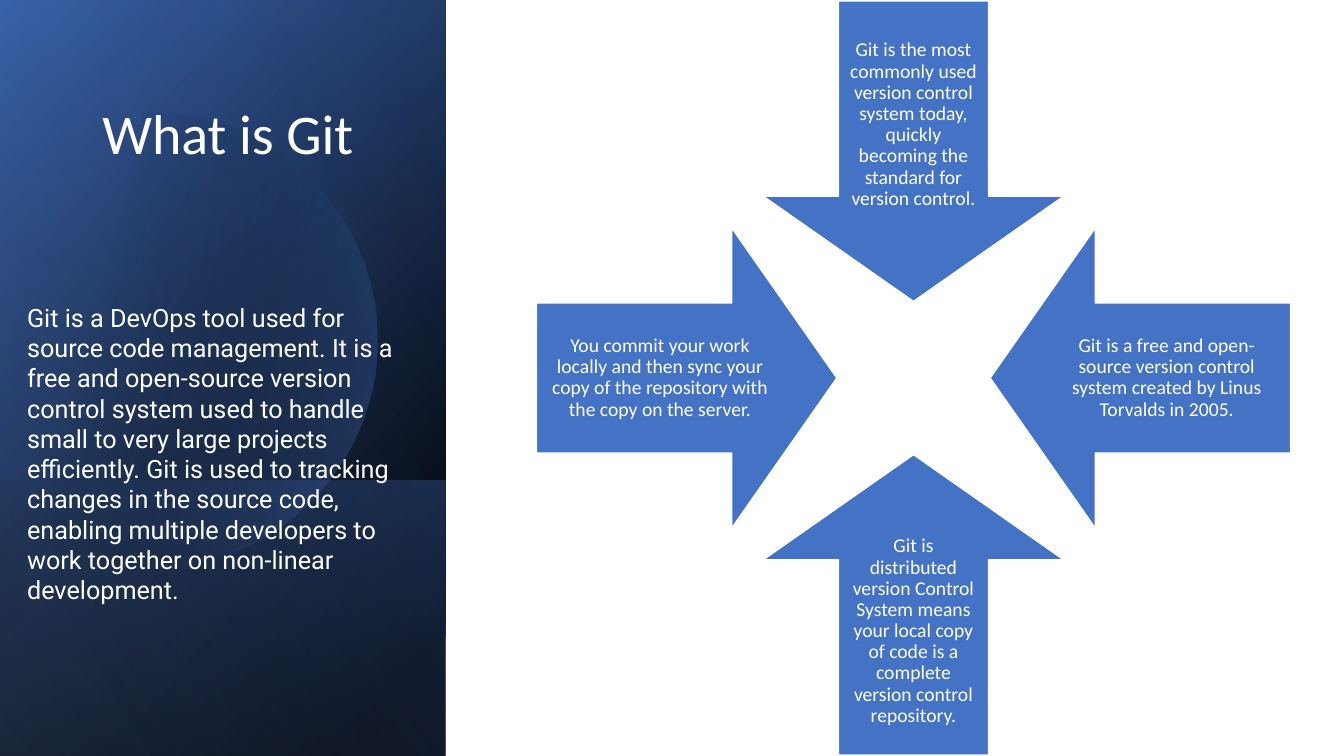
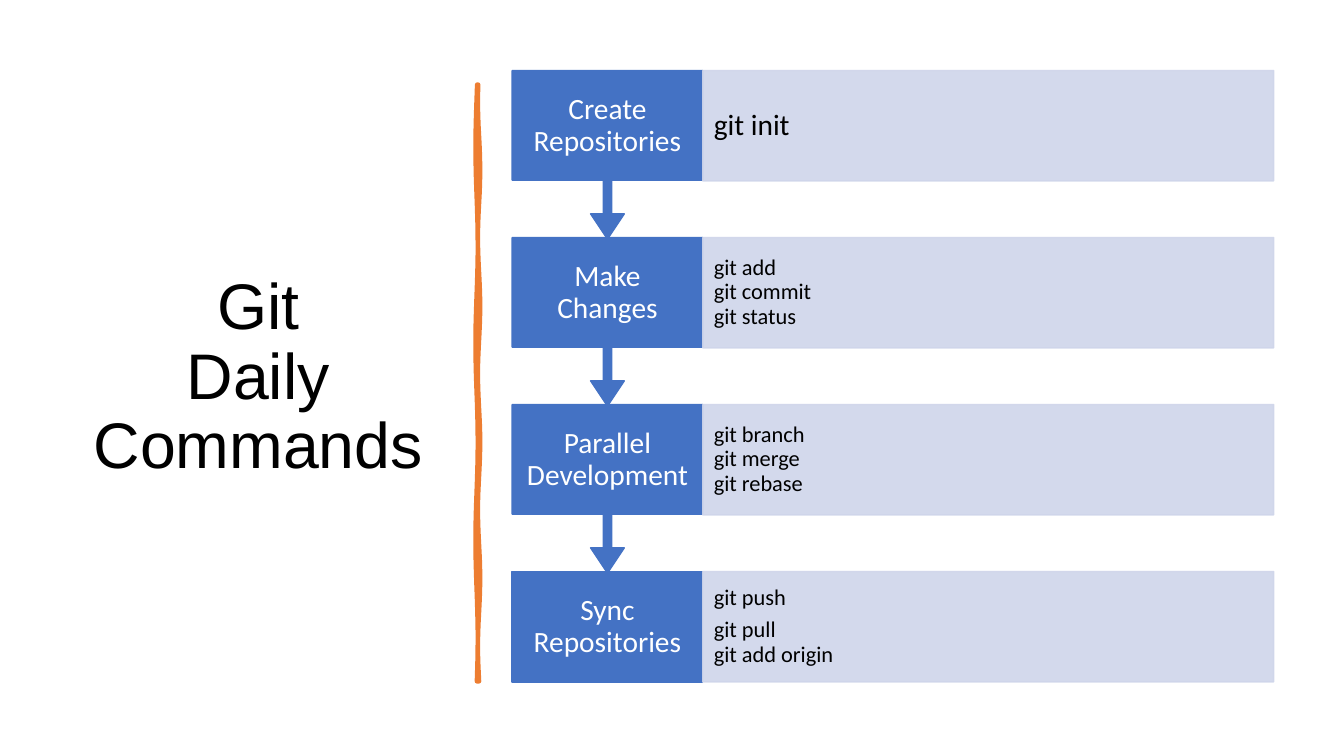
"""Build two slides on Git: what it is, and its daily commands."""
from copy import deepcopy
from math import acos, cos, pi, sin

from lxml.etree import SubElement
from pptx import Presentation
from pptx.dml.color import RGBColor
from pptx.enum.shapes import MSO_SHAPE
from pptx.enum.text import MSO_ANCHOR, MSO_AUTO_SIZE, PP_ALIGN
from pptx.oxml import parse_xml
from pptx.oxml.ns import nsdecls, qn
from pptx.util import Inches, Pt

CELL = Inches(7.5) / 100
HUES = {"blue": "4472C4", "navy": "2F5597", "sky": "8FAADC", "black": "000000",
        "white": "FFFFFF", "pale": "CFD5EA", "orange": "ED7D31"}
MID, LEFT = PP_ALIGN.CENTER, PP_ALIGN.LEFT
LOOKS = {
    "cover": ("white", {"name": "Calibri", "size": Pt(40)}, {"alignment": MID, "line_spacing": 0.9}),
    "head": ("black", {"name": "Arial", "size": Pt(46)}, {"alignment": MID, "line_spacing": 0.9}),
    "prose": ("white", {"name": "Roboto", "size": Pt(18)}, {"alignment": LEFT}),
    "arrow": ("white", {"name": "Calibri", "size": Pt(14)}, {"alignment": MID, "line_spacing": 0.9}),
    "step": ("white", {"name": "Calibri", "size": Pt(21)}, {"alignment": MID, "line_spacing": 0.9}),
    "first": ("black", {"name": "Calibri", "size": Pt(21)}, {"alignment": LEFT, "line_spacing": 0.9}),
    "code": ("black", {"name": "Calibri", "size": Pt(16)}, {"alignment": LEFT, "line_spacing": 0.9}),
}
PANEL = 58.93
PROSE = ("Git is a DevOps tool used for source code management. It is a free and open-source "
         "version control system used to handle small to very large projects efficiently. "
         "Git is used to tracking changes in the source code, enabling multiple developers "
         "to work together on non-linear development.")
FACTS = [
    (0, -1, "Git is the most commonly used version control system today, quickly becoming "
            "the standard for version control."),
    (1, 0, "Git is a free and open-source version control system created by Linus Torvalds in 2005."),
    (0, 1, "Git is distributed version Control System means your local copy of code is a "
           "complete version control repository."),
    (-1, 0, "You commit your work locally and then sync your copy of the repository with "
            "the copy on the server."),
]
STEPS = [
    ("Create Repositories", "first", ["git init"]),
    ("Make Changes", "code", ["git add\ngit commit\ngit status"]),
    ("Parallel Development", "code", ["git branch\ngit merge\ngit rebase"]),
    ("Sync Repositories", "code", ["git push", "git pull\ngit add origin"]),
]


def grid(*cells):
    """Turn grid cells into slide lengths."""
    return [round(cell * CELL) for cell in cells]


def apply(thing, values):
    """Set each named value on a thing."""
    for name, value in values.items():
        setattr(thing, name, value)


def hue(name):
    """Look up a colour."""
    return RGBColor.from_string(HUES[name])


def write(shape, texts, look, anchor=MSO_ANCHOR.MIDDLE, pad=(0.1, 0.05)):
    """Fill a shape with styled paragraphs."""
    color, font, para = LOOKS[look]
    side, edge = map(Inches, pad)
    frame = shape.text_frame
    apply(frame, {"word_wrap": True, "auto_size": MSO_AUTO_SIZE.NONE,
                  "vertical_anchor": anchor, "margin_left": side, "margin_right": side,
                  "margin_top": edge, "margin_bottom": edge})
    for i, text in enumerate(texts):
        line = frame.add_paragraph() if i else frame.paragraphs[0]
        line.text = text
        apply(line, para)
        line.space_before = Pt(5.6 if i else 0)
        for run in line.runs:
            apply(run.font, font)
            run.font.color.rgb = hue(color)
        for gap in line._p.findall(qn("a:br")):
            gap.append(deepcopy(line.runs[0]._r.rPr))


def label(slide, box, text, look, **frame):
    """Add a text box."""
    write(slide.shapes.add_textbox(*grid(*box)), [text], look, **frame)


def title(slide, box, text, look, anchor):
    """Place the title on top of what is drawn."""
    shape = slide.shapes.title
    apply(shape, dict(zip(("left", "top", "width", "height"), grid(*box))))
    write(shape, [text], look, anchor)
    shape.element.getparent().append(shape.element)


def paint(shape, fill, line, width=1):
    """Give a shape flat fill and line."""
    shape.shadow.inherit = False
    shape.fill.solid()
    shape.fill.fore_color.rgb = hue(fill)
    shape.line.color.rgb = hue(line)
    shape.line.width = Pt(width)


def block(slide, kind, box, fill="blue", line="blue", turn=0, tweaks=()):
    """Add a flat preset shape."""
    shape = slide.shapes.add_shape(kind, *grid(*box))
    paint(shape, fill, line)
    shape.rotation = turn
    for i, tweak in enumerate(tweaks):
        shape.adjustments[i] = tweak
    return shape


def fade(shape, stops, angle):
    """Give a shape a gradient of (place, colour, opacity) stops."""
    shape.shadow.inherit = False
    shape.line.fill.background()
    shape.fill.background()
    marks = "".join(
        f'<a:gs pos="{place * 1000}"><a:srgbClr val="{HUES[name]}">'
        f'<a:alpha val="{alpha * 1000}"/></a:srgbClr></a:gs>' for place, name, alpha in stops)
    blend = parse_xml(f'<a:gradFill {nsdecls("a")} rotWithShape="1"><a:gsLst>{marks}</a:gsLst>'
                      f'<a:lin ang="{angle * 60000}" scaled="0"/></a:gradFill>')
    props = shape.element.spPr
    props.replace(props.find(qn("a:noFill")), blend)


def thin(shape, share):
    """Make fill and line partly clear."""
    for color in list(shape.element.spPr.iter(qn("a:srgbClr"))):
        SubElement(color, qn("a:alpha"), val=str(share * 1000))


def outline(slide, points):
    """Add a closed shape through grid points."""
    first, *rest = [grid(*point) for point in points]
    pen = slide.shapes.build_freeform(*first, scale=1.0)
    pen.add_line_segments(rest, close=True)
    return pen.convert_to_shape()


def pane(slide, top, stops, angle):
    """Add a gradient layer from top down to the panel's foot."""
    shape = slide.shapes.add_shape(MSO_SHAPE.RECTANGLE, *grid(0, top, PANEL, 100 - top))
    fade(shape, stops, angle)


def disc(slide, x, y, size, count=90):
    """Add the soft disc cut off by the slide's left edge."""
    reach = acos(-x / size)
    turns = [reach * (2 * i / count - 1) for i in range(count + 1)]
    shape = outline(slide, [(x + size * cos(a), y + size * sin(a)) for a in turns])
    fade(shape, [(29, "black", 0), (100, "blue", 43)], 14)


def brush(slide, x, top, foot, count=60):
    """Add the wavy upright stroke."""
    rows = [top + (foot - top) * i / count for i in range(count + 1)]
    right = [(x + 0.15 + 0.15 * sin(row * pi / 9), row) for row in rows]
    left = [(x - 0.15 + 0.15 * sin(row * pi / 13), row) for row in reversed(rows)]
    paint(outline(slide, right + left), "orange", "orange", 3.25)


def arrow(slide, i, dx, dy, text):
    """Add an arrow that points at the centre from side dx, dy."""
    x, y, side, long, short = 120.8, 50, 39.73, 32.8, 19.87
    block(slide, MSO_SHAPE.DOWN_ARROW,
          (x + 30 * dx - side / 2, y + 30 * dy - side / 2, side, side),
          line="white", turn=90 * i, tweaks=(0.5, 0.35))
    wide, tall = (long, short) if dx else (short, long)
    label(slide, (x + 33.5 * dx - wide / 2, y + 33.5 * dy - tall / 2, wide, tall),
          text, "arrow", pad=(0.11, 0.11))


def step(slide, i, name, look, texts):
    """Add one step with its bar of commands."""
    x, y, wide, tall = 67.73, 9.33 + 22.09 * i, 25.2, 14.6
    if i < len(STEPS) - 1:
        block(slide, MSO_SHAPE.UP_ARROW_CALLOUT, (x, y, wide, 22.3), turn=180,
              tweaks=(0.05, 0.1, 0.15, 0.65))
    else:
        block(slide, MSO_SHAPE.RECTANGLE, (x, y, wide, tall))
    label(slide, (x, y, wide, tall), name, "step", pad=(0.13, 0.16))
    bar = block(slide, MSO_SHAPE.RECTANGLE, (x + wide, y, 75.5, tall), "pale", "pale")
    thin(bar, 90)
    write(bar, texts, look, pad=(0.11, 0.22))


def about(slide):
    """Draw the slide on what Git is."""
    pane(slide, 0, [(8, "black", 100), (100, "navy", 100)], 220)
    pane(slide, 0, [(0, "black", 0), (99, "blue", 46)], 240)
    pane(slide, 63.5, [(2, "blue", 29), (100, "black", 30)], 140)
    disc(slide, 19.7, 45, 30.2)
    pane(slide, 0, [(0, "black", 0), (99, "sky", 11)], 150)
    title(slide, (6.8, 8.53, 46.67, 14.13), "What is Git", "cover", MSO_ANCHOR.BOTTOM)
    label(slide, (2.27, 39.33, 53.6, 41), PROSE, "prose", anchor=MSO_ANCHOR.TOP)
    for i, fact in enumerate(FACTS):
        arrow(slide, i, *fact)


def daily(slide):
    """Draw the slide on daily commands."""
    title(slide, (9.2, 9.33, 49.87, 81.47), "Git\nDaily Commands", "head", MSO_ANCHOR.MIDDLE)
    brush(slide, 63.2, 11.2, 90.13)
    for i, parts in enumerate(STEPS):
        step(slide, i, *parts)


def main():
    """Build and save the deck."""
    deck = Presentation()
    apply(deck, {"slide_width": Inches(13.33), "slide_height": Inches(7.5)})
    for draw in (about, daily):
        draw(deck.slides.add_slide(deck.slide_layouts[5]))
    deck.save("out.pptx")


if __name__ == "__main__":
    main()
